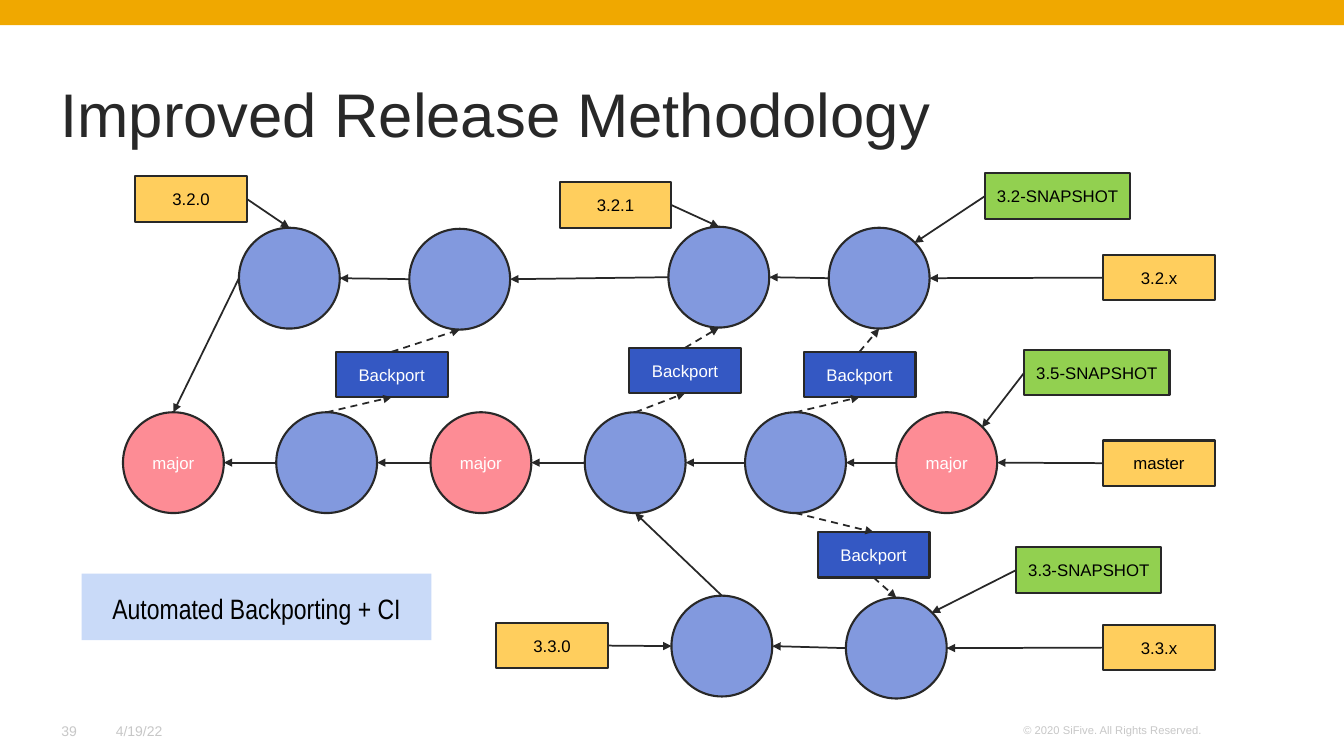
from dataclasses import dataclass

from lxml.etree import SubElement
from pptx import Presentation
from pptx.dml.color import RGBColor
from pptx.enum.dml import MSO_LINE
from pptx.enum.shapes import MSO_CONNECTOR, MSO_SHAPE
from pptx.enum.text import MSO_ANCHOR, MSO_AUTO_SIZE, PP_ALIGN
from pptx.oxml.ns import qn
from pptx.util import Pt

EMU_PER_PX = 9144  # 100 px to the inch


@dataclass(frozen=True)
class Theme:
    font: str = "Arial"
    narrow_font: str = "Arial Narrow"
    ink: str = "282828"
    black: str = "000000"
    white: str = "FFFFFF"
    bar: str = "F0A800"
    commit: str = "8299DE"
    major: str = "FD8C95"
    backport: str = "3458C3"
    tag: str = "FFCE5D"
    snapshot: str = "92D050"
    caption: str = "C9DAF8"
    title_size: int = 44
    caption_size: int = 20
    label_size: int = 12
    footer_size: int = 10
    copyright_size: int = 8
    footer_opacity: int = 25
    outline: float = 1.5
    arrow: float = 1.25


# Connection sites: fraction of width, fraction of height, index
RECT_SITES = {"top": (0.5, 0, 0), "left": (0, 0.5, 1),
              "bottom": (0.5, 1, 2), "right": (1, 0.5, 3)}
CIRCLE_SITES = {"top": (0.5, 0, 0), "left": (0, 0.5, 2), "bottom": (0.5, 1, 4),
                "right": (1, 0.5, 6), "top right": (0.85, 0.15, 7)}


def px(length):
    return length * EMU_PER_PX


def rgb(value):
    return RGBColor.from_string(value)


class SlideBuilder:
    def __init__(self, slide, theme):
        self.slide = slide
        self.theme = theme

    def add_text(self, frame, text, size, color, align=PP_ALIGN.LEFT, font=None, opacity=None):
        paragraph = frame.paragraphs[0]
        paragraph.alignment = align
        run = paragraph.add_run()
        run.text = text
        run.font.name = font or self.theme.font
        run.font.size = Pt(size)
        run.font.color.rgb = rgb(color)
        if opacity is not None:
            fill_color = run._r.find(".//" + qn("a:srgbClr"))
            SubElement(fill_color, qn("a:alpha"), val=str(opacity * 1000))
        return paragraph

    def title(self, text, left, top, width, height):
        shape = self.slide.shapes.title
        shape.left, shape.top, shape.width, shape.height = map(px, (left, top, width, height))
        frame = shape.text_frame
        frame.auto_size = MSO_AUTO_SIZE.NONE
        frame.vertical_anchor = MSO_ANCHOR.MIDDLE
        paragraph = self.add_text(frame, text, self.theme.title_size, self.theme.ink)
        paragraph.line_spacing = 0.9

    def shape(self, kind, left, top, width, height, fill, outlined=True):
        shape = self.slide.shapes.add_shape(kind, *map(px, (left, top, width, height)))
        shape.shadow.inherit = False
        shape.fill.solid()
        shape.fill.fore_color.rgb = rgb(fill)
        if outlined:
            shape.line.color.rgb = rgb(self.theme.ink)
            shape.line.width = Pt(self.theme.outline)
        else:
            shape.line.fill.background()
        return shape

    def circle(self, left, top, is_major=False):
        fill = self.theme.major if is_major else self.theme.commit
        shape = self.shape(MSO_SHAPE.OVAL, left, top, 100, 100, fill)
        if is_major:
            self.add_text(shape.text_frame, "major", self.theme.label_size,
                          self.theme.white, PP_ALIGN.CENTER)
        return shape

    def box(self, text, left, top, fill, color, width=111):
        shape = self.shape(MSO_SHAPE.RECTANGLE, left, top, width, 45, fill)
        self.add_text(shape.text_frame, text, self.theme.label_size, color, PP_ALIGN.CENTER)
        return shape

    def caption(self, text, left, top, width, height):
        shape = self.shape(MSO_SHAPE.RECTANGLE, left, top, width, height,
                           self.theme.caption, outlined=False)
        frame = shape.text_frame
        frame.margin_left = frame.margin_right = 0
        frame.margin_top = frame.margin_bottom = px(13)
        frame.vertical_anchor = MSO_ANCHOR.TOP
        paragraph = self.add_text(frame, text, self.theme.caption_size, self.theme.black,
                                  PP_ALIGN.CENTER, self.theme.narrow_font)
        paragraph.line_spacing = 1.15
        paragraph.space_after = Pt(21.3)

    def footer(self, text, left, top, width, height, size, align=PP_ALIGN.LEFT,
               anchor=MSO_ANCHOR.MIDDLE, right_margin=10):
        frame = self.slide.shapes.add_textbox(*map(px, (left, top, width, height))).text_frame
        frame.word_wrap = True
        frame.vertical_anchor = anchor
        frame.margin_right = px(right_margin)
        self.add_text(frame, text, size, self.theme.ink, align,
                      opacity=self.theme.footer_opacity)

    def arrow(self, start, start_site, end, end_site, dashed=False):
        points, links = [], []
        for shape, site in ((start, start_site), (end, end_site)):
            is_circle = shape.auto_shape_type == MSO_SHAPE.OVAL
            across, down, index = (CIRCLE_SITES if is_circle else RECT_SITES)[site]
            points += [round(shape.left + across * shape.width),
                       round(shape.top + down * shape.height)]
            links.append((shape.shape_id, index))
        connector = self.slide.shapes.add_connector(MSO_CONNECTOR.STRAIGHT, *points)
        connector.line.color.rgb = rgb(self.theme.ink)
        connector.line.width = Pt(self.theme.arrow)
        if dashed:
            connector.line.dash_style = MSO_LINE.DASH
        properties = connector._element.spPr
        SubElement(properties.find(qn("a:ln")), qn("a:tailEnd"), type="triangle")
        SubElement(properties, qn("a:effectLst"))
        # Glue both ends to their shapes
        glue = connector._element.find(".//" + qn("p:cNvCxnSpPr"))
        for tag, (shape_id, index) in zip(("a:stCxn", "a:endCxn"), links):
            SubElement(glue, qn(tag), id=str(shape_id), idx=str(index))


def main():
    presentation = Presentation()
    presentation.slide_width, presentation.slide_height = px(1333), px(750)
    slide = presentation.slides.add_slide(presentation.slide_layouts[5])
    theme = Theme()
    builder = SlideBuilder(slide, theme)

    # Top bar, title and footer
    builder.shape(MSO_SHAPE.RECTANGLE, 0, 0, 1333, 25, theme.bar, outlined=False)
    builder.title("Improved Release Methodology", 50, 50, 1233, 133)
    builder.footer("39", 51, 700, 50, 50, theme.footer_size)
    builder.footer("4/19/22", 105, 700, 75, 50, theme.footer_size)
    builder.footer("© 2020 SiFive. All Rights Reserved.", 886, 713, 325, 24,
                   theme.copyright_size, PP_ALIGN.RIGHT, MSO_ANCHOR.TOP, right_margin=19)

    # Commits on each branch, oldest first
    release_32 = [builder.circle(*place)
                  for place in ((237, 226), (406, 227), (663, 225), (822, 226))]
    master = [builder.circle(left, 409, is_major=index in (0, 2, 5))
              for index, left in enumerate((122, 274, 427, 580, 739, 889))]
    release_33 = [builder.circle(*place) for place in ((666, 591), (839, 593))]

    # Branch heads, each commit pointing to its parent
    for commits, name, top in ((release_32, "3.2.x", 253), (master, "master", 437),
                               (release_33, "3.3.x", 620)):
        head = builder.box(name, 1094, top, theme.tag, theme.black)
        for parent, child in zip(commits, commits[1:] + [head]):
            builder.arrow(child, "left", parent, "right")

    # Points where the release branches leave master
    builder.arrow(release_32[0], "left", master[0], "top")
    builder.arrow(release_33[0], "top", master[3], "bottom")

    # Release tags
    for name, left, top, commit, site in (("3.2.0", 134, 175, release_32[0], "top"),
                                          ("3.2.1", 555, 181, release_32[2], "top"),
                                          ("3.3.0", 492, 618, release_33[0], "left")):
        tag = builder.box(name, left, top, theme.tag, theme.black)
        builder.arrow(tag, "right", commit, site)

    # Snapshots of the newest commits
    for version, left, top, commits in (("3.2", 977, 172, release_32),
                                        ("3.5", 1016, 347, master),
                                        ("3.3", 1008, 543, release_33)):
        snapshot = builder.box(f"{version}-SNAPSHOT", left, top, theme.snapshot,
                               theme.black, width=144)
        builder.arrow(snapshot, "left", commits[-1], "top right")

    # Backports from master
    up, down = ("top", "bottom"), ("bottom", "top")
    for left, top, source, target, (leave, enter) in (
            (333, 349, master[1], release_32[1], up),
            (624, 345, master[3], release_32[2], up),
            (797, 349, master[4], release_32[3], up),
            (811, 528, master[4], release_33[1], down)):
        backport = builder.box("Backport", left, top, theme.backport, theme.white)
        builder.arrow(source, leave, backport, enter, dashed=True)
        builder.arrow(backport, leave, target, enter, dashed=True)

    # Caption
    builder.caption("Automated Backporting + CI", 81, 569, 347, 66)
    presentation.save("out.pptx")


if __name__ == "__main__":
    main()
